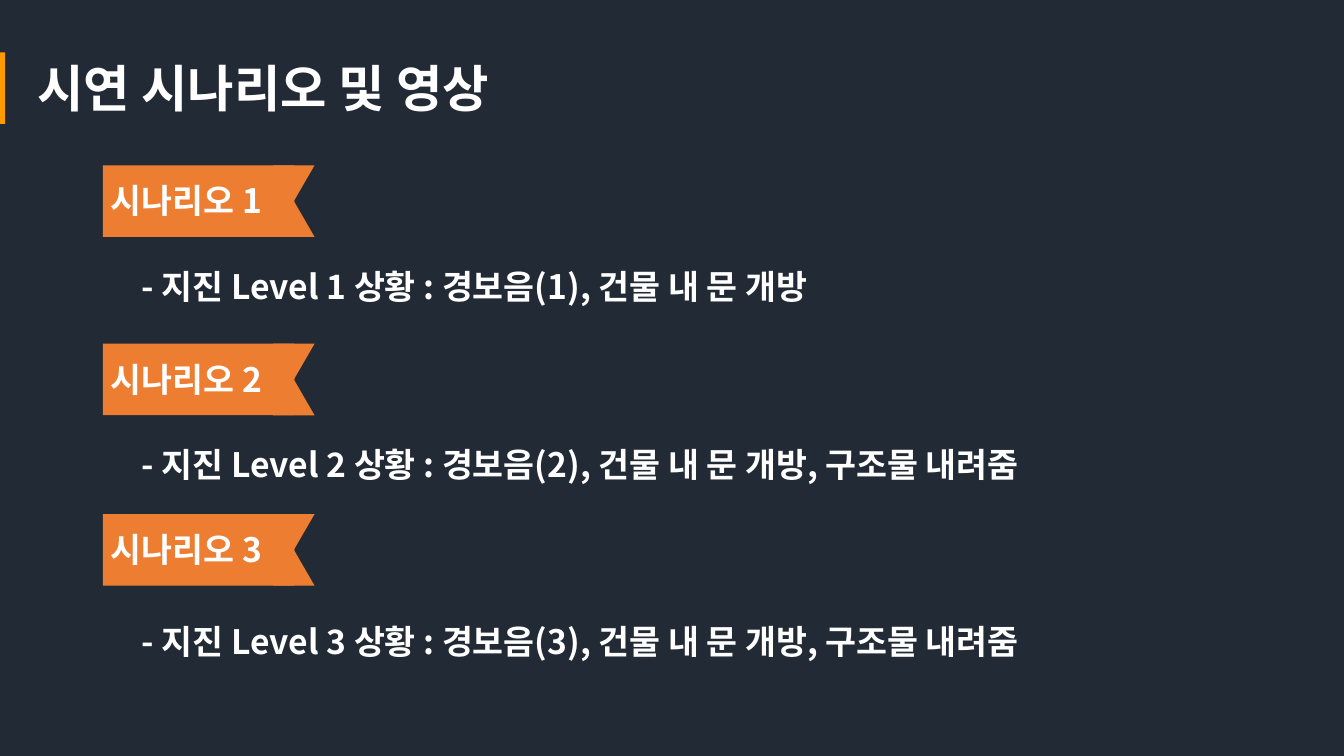
from pptx import Presentation
from pptx import util as u
from pptx.dml.color import RGBColor
from pptx.enum import shapes, text
from pptx.oxml.ns import qn
from lxml import etree

PX = 9144  # EMU: 100 px to the inch
FONT = "Noto Sans CJK KR"
NAVY, ORANGE, AMBER, WHITE = "222A36", "ED7D31", "FF9900", "FFFFFF"
SCENARIOS = [
    (164, "경보음(1), 건물 내 문 개방", 753),
    (341, "경보음(2), 건물 내 문 개방, 구조물 내려줌", 987),
    (510, "경보음(3), 건물 내 문 개방, 구조물 내려줌", 987),
]
DETAIL_TOP, DETAIL_STEP = 259, 176


def px(*lengths):
    return [u.Emu(length * PX) for length in lengths]


def color(value):
    return RGBColor.from_string(value)


def add_block(parent, kind, box, fill):
    shape = parent.add_shape(kind, *px(*box))
    shape.shadow.inherit = False
    shape.fill.solid()
    shape.fill.fore_color.rgb = color(fill)
    shape.line.fill.background()


def add_text(slide, content, box, size=24, wrap=False, indent=0):
    frame = slide.shapes.add_textbox(*px(*box)).text_frame
    frame.word_wrap = wrap
    frame.auto_size = text.MSO_AUTO_SIZE.SHAPE_TO_FIT_TEXT
    paragraph = frame.paragraphs[0]
    if indent:
        paragraph._p.get_or_add_pPr().set("marL", str(indent * PX))
    run = paragraph.add_run()
    run.text = content
    font = run.font
    font.size = u.Pt(size)
    font.bold = True
    font.name = FONT
    font.color.rgb = color(WHITE)
    east_asian = etree.Element(qn("a:ea"), typeface=FONT)
    font._element.find(qn("a:latin")).addnext(east_asian)


def add_flag(slide, top):
    """Draw a banner whose right edge is notched."""
    group = slide.shapes.add_group_shape().shapes
    add_block(group, shapes.MSO_SHAPE.RECTANGLE, (102, top, 190, 71), ORANGE)
    add_block(group, shapes.MSO_SHAPE.FLOWCHART_COLLATE,
              (271, top, 41, 71), ORANGE)


def main():
    presentation = Presentation()
    presentation.slide_width, presentation.slide_height = px(1333, 750)
    slide = presentation.slides.add_slide(presentation.slide_layouts[6])
    background = slide.background.fill
    background.solid()
    background.fore_color.rgb = color(NAVY)

    add_block(slide.shapes, shapes.MSO_SHAPE.RECTANGLE, (0, 52, 5, 71), AMBER)
    add_text(slide, "시연 시나리오 및 영상", (27, 52, 603, 71), size=36, wrap=True)

    for index, (top, actions, width) in enumerate(SCENARIOS):
        number = index + 1
        add_flag(slide, top)
        add_text(slide, f"시나리오 {number}", (85, top + 10, 210, 50), indent=15)
        add_text(slide, f"- 지진 Level {number} 상황 : {actions}",
                 (131, DETAIL_TOP + index * DETAIL_STEP, width, 50))

    presentation.save("out.pptx")


if __name__ == "__main__":
    main()
